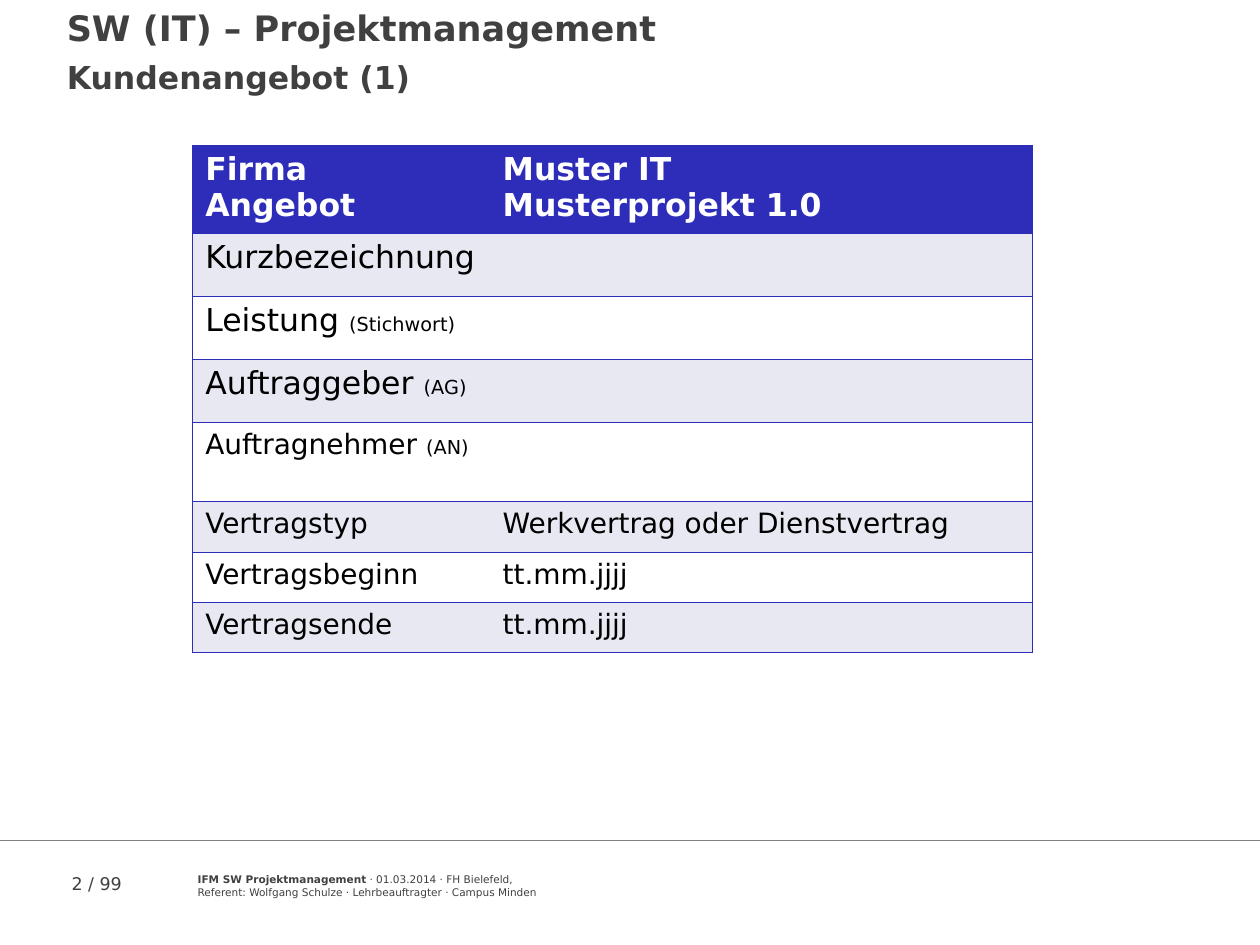
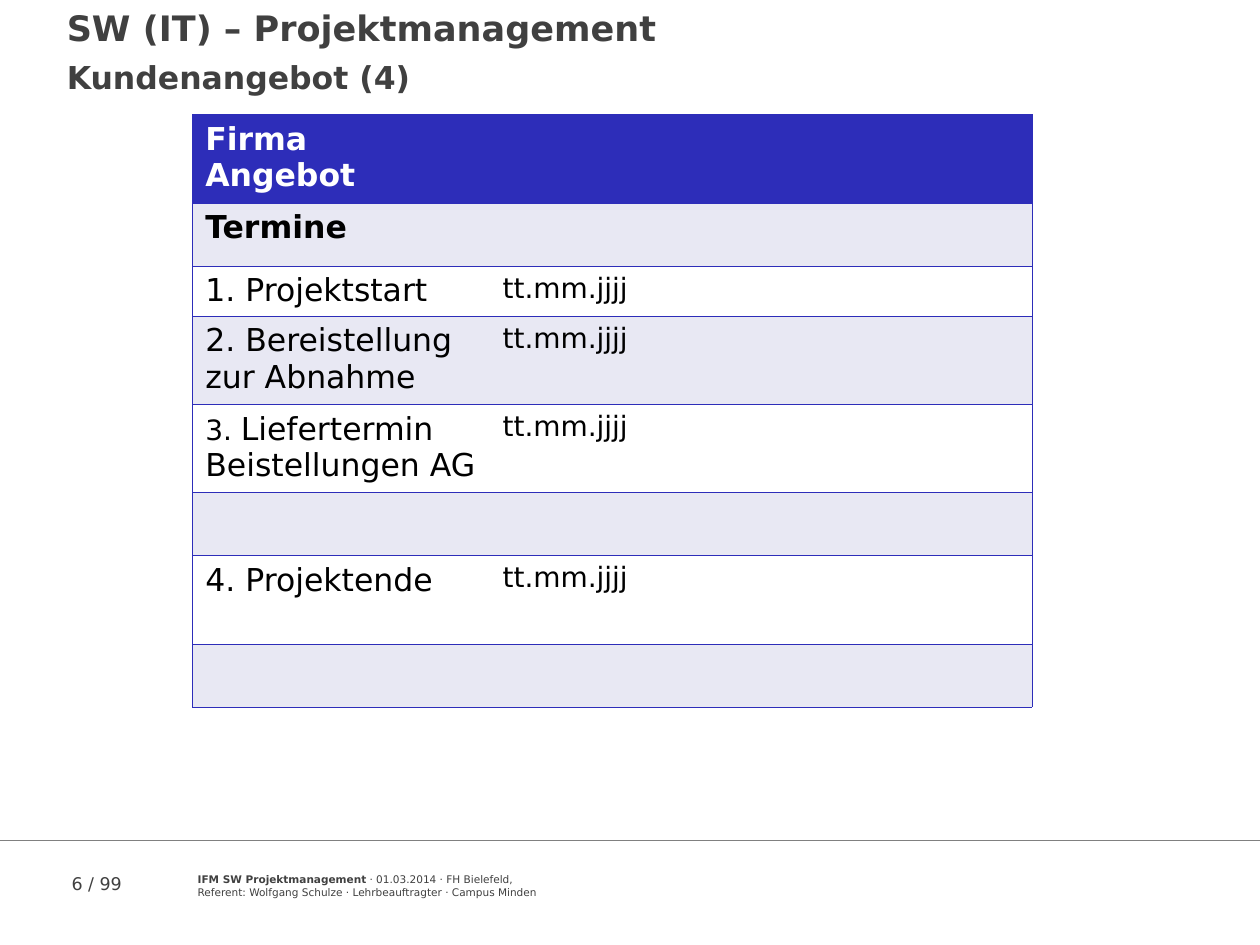
from lxml.etree import SubElement
from pptx import Presentation
from pptx.dml.color import RGBColor
from pptx.enum.shapes import MSO_CONNECTOR
from pptx.enum.text import MSO_ANCHOR, PP_ALIGN
from pptx.oxml.ns import qn
from pptx.util import Inches, Pt

HUES = {
    "head": "2D2DB9",
    "band": "E8E8F3",
    "paper": "FFFFFF",
    "ink": "000000",
    "grey": "404040",
    "rule": "808080",
}
FACE = "DejaVu Sans"
COLS = (2.36, 4.3)
DATE = [[("tt.mm.jjjj", 16)]]
FIRM = [[("Firma", 18)], [("Angebot", 18)]]

# Each row: height, left cell, right cell; a cell lists paragraphs of runs.
OFFER = [
    (0.7, FIRM, [[("Muster IT", 18)], [("Musterprojekt 1.0", 18)]]),
    (0.5, [[("Kurzbezeichnung", 18)]], []),
    (0.5, [[("Leistung ", 18), ("(Stichwort)", 11)]], []),
    (0.5, [[("Auftraggeber ", 18), ("(AG)", 11)]], []),
    (0.63, [[("Auftragnehmer ", 16), ("(AN)", 11)]], []),
    (0.4, [[("Vertragstyp", 16)]], [[("Werkvertrag oder Dienstvertrag", 16)]]),
    (0.4, [[("Vertragsbeginn", 16)]], DATE),
    (0.4, [[("Vertragsende", 16)]], DATE),
]
DATES = [
    (0.7, FIRM, []),
    (0.5, [[("Termine", 18, True)]], []),
    (0.4, [[("1. Projektstart", 18)]], DATE),
    (0.7, [[("2. Bereistellung", 18)], [("zur Abnahme", 18)]], DATE),
    (0.7, [[("3. ", 16), ("Liefertermin Beistellungen AG", 18)]], DATE),
    (0.5, [], []),
    (0.7, [[("4. Projektende", 18)]], DATE),
    (0.5, [], []),
]
FOOT = [
    [("IFM SW Projektmanagement", 6, True),
     (" · 01.03.2014 · FH Bielefeld,", 6)],
    [("Referent: Wolfgang Schulze · Lehrbeauftragter · Campus Minden", 6)],
]


def tint(name):
    return RGBColor.from_string(HUES[name])


def apply(item, form):
    for key, value in form.items():
        setattr(item, key, value)


def write(frame, paras, hue="grey", bold=False, gap=0):
    """Fill a text frame with paragraphs of (text, size[, bold]) runs."""
    for n, runs in enumerate(paras):
        para = frame.add_paragraph() if n else frame.paragraphs[0]
        para.alignment = PP_ALIGN.LEFT
        para.space_before = Pt(gap if n else 0)
        for text, size, *strong in runs:
            run = para.add_run()
            run.text = text
            apply(run.font, {"name": FACE, "size": Pt(size),
                             "bold": bold or bool(strong)})
            run.font.color.rgb = tint(hue)


def add_title(slide, part):
    title = slide.shapes.title
    apply(title, {"left": Inches(0.43), "top": 0,
                  "width": Inches(7.88), "height": Inches(0.81)})
    frame = title.text_frame
    apply(frame, {"word_wrap": True, "vertical_anchor": MSO_ANCHOR.BOTTOM})
    write(frame, [[("SW (IT) – Projektmanagement", 20)],
                  [(f"Kundenangebot ({part})", 18)]], bold=True, gap=5.6)


def add_text(slide, left, top, width, height, paras):
    box = slide.shapes.add_textbox(*map(Inches, (left, top, width, height)))
    box.text_frame.word_wrap = True
    write(box.text_frame, paras)


def add_footer(slide, page):
    line = slide.shapes.add_connector(
        MSO_CONNECTOR.STRAIGHT, 0, Inches(6.67), Inches(10), Inches(6.67))
    line.line.color.rgb = tint("rule")
    line.line.width = Pt(0.75)
    SubElement(line._element.spPr, qn("a:effectLst"))
    add_text(slide, 0.47, 6.88, 1, 0.45, [[(f"{page} / 99", 10)]])
    add_text(slide, 1.47, 6.88, 6.22, 0.3, FOOT)


def set_edges(cell, shown):
    """Draw the cell sides named in shown and clear the others."""
    props = cell._tc.get_or_add_tcPr()
    for side in "LRTB":
        edge = SubElement(props, qn(f"a:ln{side}"), w=str(Pt(0.45)))
        if side in shown:
            fill = SubElement(edge, qn("a:solidFill"))
            SubElement(fill, qn("a:srgbClr"), val=HUES["head"])
        else:
            SubElement(edge, qn("a:noFill"))


def add_grid(slide, top, rows):
    high = sum(row[0] for row in rows)
    table = slide.shapes.add_table(
        len(rows), len(COLS), Inches(1.53), Inches(top),
        Inches(sum(COLS)), Inches(high)).table
    apply(table, {"first_row": False, "horz_banding": False})
    for col, width in zip(table.columns, COLS):
        col.width = Inches(width)
    for r, (height, *texts) in enumerate(rows):
        table.rows[r].height = Inches(height)
        back = "head" if r == 0 else "band" if r % 2 else "paper"
        for c, paras in enumerate(texts):
            cell = table.cell(r, c)
            set_edges(cell, "RTB" if c else "LTB")
            cell.fill.solid()
            cell.fill.fore_color.rgb = tint(back)
            write(cell.text_frame, paras, "ink" if r else "paper", r == 0)


def main():
    deck = Presentation()
    apply(deck, {"slide_width": Inches(10), "slide_height": Inches(7.5)})
    for page, part, top, rows in ((2, 1, 1.15, OFFER), (6, 4, 0.91, DATES)):
        slide = deck.slides.add_slide(deck.slide_layouts[5])
        add_footer(slide, page)
        add_grid(slide, top, rows)
        add_title(slide, part)
    deck.save("out.pptx")


if __name__ == "__main__":
    main()
